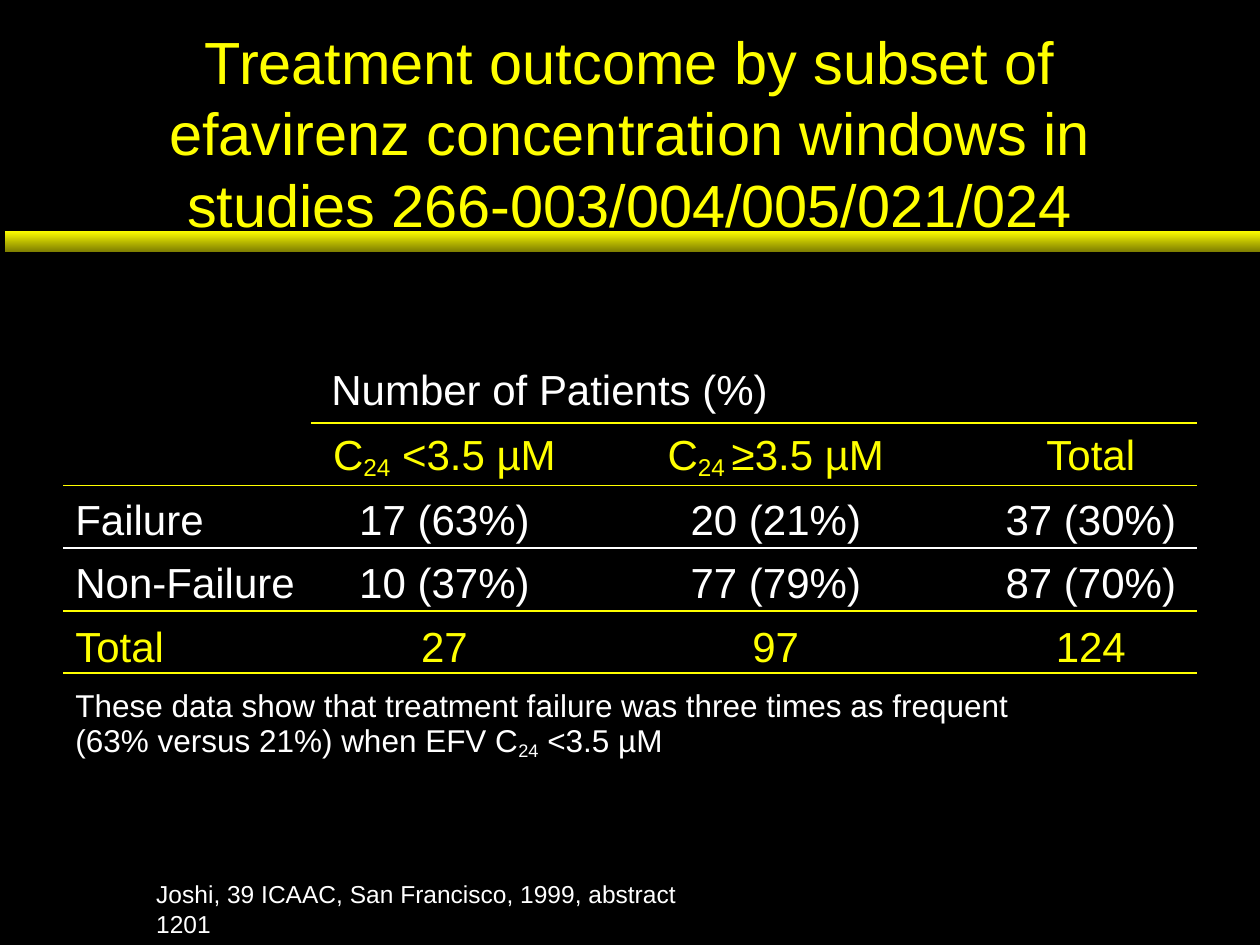
import pptx
import pptx.dml.color
import pptx.enum.shapes
import pptx.enum.text
import pptx.oxml
import pptx.oxml.ns
import pptx.util
from lxml import etree

Cm, Pt = pptx.util.Cm, pptx.util.Pt
YELLOW, WHITE = "FFFF00", "FFFFFF"


def rgb(value):
    return pptx.dml.color.RGBColor.from_string(value)


def add_run(p, text, size, color, baseline=0):
    r = p.add_run()
    r.text = text
    for name, value in {"name": "Arial", "size": Pt(size)}.items():
        setattr(r.font, name, value)
    r.font.color.rgb = rgb(color)
    if baseline:
        r._r.get_or_add_rPr().set("baseline", str(baseline * 1000))


prs = pptx.Presentation()
prs.slide_width, prs.slide_height = Cm(25.4), Cm(19.05)
s = prs.slides.add_slide(prs.slide_layouts[6])
s.background.fill.solid()
s.background.fill.fore_color.rgb = rgb("000000")

# Gradient bar below the title
sp = s.shapes.add_shape(pptx.enum.shapes.MSO_SHAPE.RECTANGLE,
                        Cm(0.1), Cm(4.65), Cm(25.4), Cm(0.43))
sp.shadow.inherit = False
sp.line.fill.background()
sp.fill.gradient()
sp.fill.gradient_angle = 270
for stop, (position, color) in zip(sp.fill.gradient_stops, [(0, YELLOW), (1, "7E7E00")]):
    stop.position = position
    stop.color.rgb = rgb(color)

# Title
tf = s.shapes.add_textbox(Cm(1.9), Cm(1.07), Cm(21.6), Cm(3.18)).text_frame
for name, value in {"word_wrap": True,
                    "vertical_anchor": pptx.enum.text.MSO_ANCHOR.MIDDLE}.items():
    setattr(tf, name, value)
p = tf.paragraphs[0]
p.alignment = pptx.enum.text.PP_ALIGN.CENTER
add_run(p, "Treatment outcome by subset of efavirenz concentration windows in "
           "studies 266-003/004/005/021/024", 34, YELLOW)

# Results, set in columns by tab stops; each run is (text, baseline)
heading_tabs = [(5.16, "l")]
column_tabs = [(7.44, "ctr"), (14.12, "ctr"), (20.47, "ctr")]
rows = [
    (24, WHITE, heading_tabs, [("\tNumber of Patients (%)", 0)]),
    (24, YELLOW, column_tabs, [("\tC", 0), ("24", -14), (" <3.5 µM\tC", 0),
                               ("24 ", -14), ("≥3.5 µM\tTotal", 0)]),
    (24, WHITE, column_tabs, [("Failure\t17 (63%)\t20 (21%)\t37 (30%)", 0)]),
    (24, WHITE, column_tabs, [("Non-Failure\t10 (37%)\t77 (79%)\t87 (70%)", 0)]),
    (24, YELLOW, column_tabs, [("Total\t27\t97\t124", 0)]),
    (18, WHITE, [], [("These data show that treatment failure was three times as frequent", 0),
                     None,
                     ("(63% versus 21%) when EFV C", 0), ("24", -16), (" <3.5 µM", 0)]),
]
tf = s.shapes.add_textbox(Cm(1.27), Cm(7.32), Cm(22.86), Cm(8.15)).text_frame
tf.word_wrap = True
for i, (size, color, tabs, runs) in enumerate(rows):
    p = tf.add_paragraph() if i else tf.paragraphs[0]
    fmt = {"line_spacing": 0.9, "space_before": Pt(10.5 if i else 0)}
    for name, value in fmt.items():
        setattr(p, name, value)
    if tabs:
        tab_list = etree.SubElement(p._p.get_or_add_pPr(), pptx.oxml.ns.qn("a:tabLst"))
        for position, align in tabs:
            etree.SubElement(tab_list, pptx.oxml.ns.qn("a:tab"),
                             pos=str(int(Cm(position))), algn=align)
    for run in runs:
        if run is None:
            p.add_line_break()
        else:
            add_run(p, run[0], size, color, run[1])

# Rules between the rows; the first spans only the value columns
for i, color in enumerate([YELLOW, YELLOW, WHITE, YELLOW, YELLOW]):
    left, y = Cm(1.27 if i else 6.27), Cm(8.53 + 1.26 * i)
    line = s.shapes.add_connector(pptx.enum.shapes.MSO_CONNECTOR.STRAIGHT,
                                  left, y, Cm(24.13), y)
    line.line.color.rgb = rgb(color)
    line.line.width = Pt(1)
    etree.SubElement(line._element.spPr, pptx.oxml.ns.qn("a:effectLst"))

# Reference
tf = s.shapes.add_textbox(Cm(2.9), Cm(17.6), Cm(12.22), Cm(0.86)).text_frame
tf.word_wrap = False
add_run(tf.paragraphs[0], "Joshi, 39 ICAAC, San Francisco, 1999, abstract 1201", 14, WHITE)

prs.save("out.pptx")
